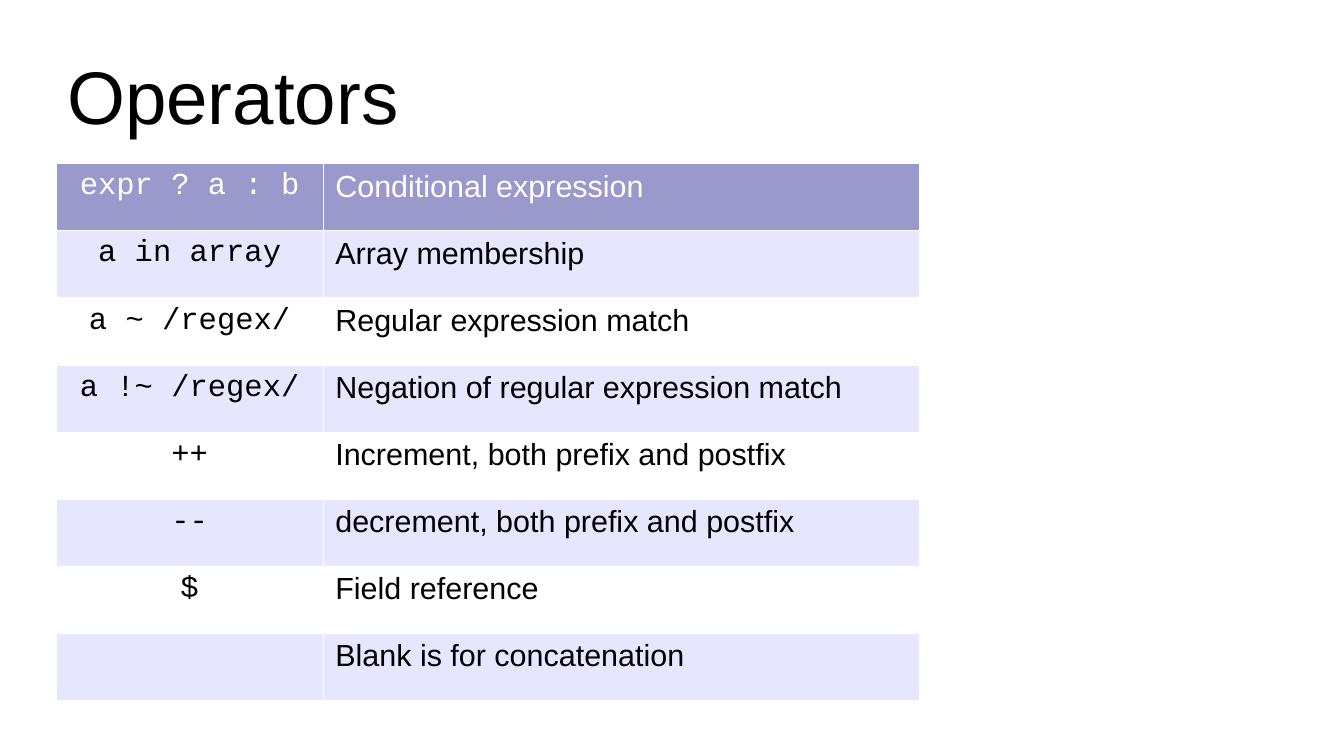
from dataclasses import dataclass

import lxml.etree
import pptx
import pptx.dml.color
import pptx.enum.text
import pptx.oxml.ns
import pptx.slide
import pptx.table
import pptx.text.text
import pptx.util

RGBColor = pptx.dml.color.RGBColor
Align = pptx.enum.text.PP_ALIGN
BLACK = RGBColor(0x00, 0x00, 0x00)
WHITE = RGBColor(0xFF, 0xFF, 0xFF)
HEADER_PURPLE = RGBColor(0x99, 0x99, 0xCC)
BAND_LAVENDER = RGBColor(0xE6, 0xE6, 0xFF)

SLIDE_WIDTH = pptx.util.Inches(11.02)
SLIDE_HEIGHT = pptx.util.Inches(6.2)
BORDER_WIDTH = pptx.util.Pt(0.06)
ROW_HEIGHT = pptx.util.Inches(0.55)
COLUMN_WIDTHS = (pptx.util.Inches(2.19), pptx.util.Inches(4.89))
TABLE_LEFT = pptx.util.Inches(0.46)
TABLE_TOP = pptx.util.Inches(1.34)


@dataclass(frozen=True)
class Operator:
    symbol: str
    meaning: str


@dataclass(frozen=True)
class TextStyle:
    font: str
    size: float
    color: RGBColor
    alignment: Align = Align.LEFT


OPERATORS = (
    Operator("expr ? a : b", "Conditional expression"),
    Operator("a in array", "Array membership"),
    Operator("a ~ /regex/", "Regular expression match"),
    Operator("a !~ /regex/", "Negation of regular expression match"),
    Operator("++", "Increment, both prefix and postfix"),
    Operator("--", "decrement, both prefix and postfix"),
    Operator("$", "Field reference"),
    Operator("", "Blank is for concatenation"),
)


def write_text(frame: pptx.text.text.TextFrame, text: str, style: TextStyle) -> None:
    para = frame.paragraphs[0]
    para.alignment = style.alignment
    span = para.add_run()
    span.text = text
    formats = {"name": style.font, "size": pptx.util.Pt(style.size), "bold": False}
    for name, value in formats.items():
        setattr(span.font, name, value)
    span.font.color.rgb = style.color


def add_title(page: pptx.slide.Slide, text: str) -> None:
    box = page.shapes.add_textbox(
        int(SLIDE_WIDTH * 0.05),
        int(SLIDE_HEIGHT * 0.04),
        int(SLIDE_WIDTH * 0.9),
        int(SLIDE_HEIGHT * 0.17),
    )
    frame = box.text_frame
    formats = {
        "word_wrap": True,
        "vertical_anchor": pptx.enum.text.MSO_ANCHOR.MIDDLE,
        "margin_left": 0,
        "margin_top": 0,
        "margin_right": 0,
        "margin_bottom": 0,
    }
    for name, value in formats.items():
        setattr(frame, name, value)
    write_text(frame, text, TextStyle("Arial", 44, BLACK))


def add_borders(cell: pptx.table._Cell) -> None:
    qn = pptx.oxml.ns.qn
    properties = cell._tc.get_or_add_tcPr()
    for side in ("lnL", "lnR", "lnT", "lnB"):
        line = lxml.etree.SubElement(properties, qn(f"a:{side}"), w=str(BORDER_WIDTH))
        fill = lxml.etree.SubElement(line, qn("a:solidFill"))
        lxml.etree.SubElement(fill, qn("a:srgbClr"), val=str(WHITE))


def row_colors(row: int) -> tuple[RGBColor, RGBColor]:
    if row == 0:
        return HEADER_PURPLE, WHITE
    return (BAND_LAVENDER if row % 2 else WHITE), BLACK


def add_operator_table(page: pptx.slide.Slide, operators: tuple[Operator, ...]) -> None:
    table = page.shapes.add_table(
        len(operators),
        len(COLUMN_WIDTHS),
        TABLE_LEFT,
        TABLE_TOP,
        sum(COLUMN_WIDTHS),
        ROW_HEIGHT * len(operators),
    ).table
    table.first_row = False
    table.horz_banding = False
    for column, width in zip(table.columns, COLUMN_WIDTHS):
        column.width = width
    for row, operator in enumerate(operators):
        background, foreground = row_colors(row)
        entries = (
            (operator.symbol, TextStyle("Courier New", 18, foreground, Align.CENTER)),
            (operator.meaning, TextStyle("Arial", 18, foreground)),
        )
        for column, (text, style) in enumerate(entries):
            cell = table.cell(row, column)
            add_borders(cell)
            cell.fill.solid()
            cell.fill.fore_color.rgb = background
            if text:
                write_text(cell.text_frame, text, style)


def main() -> None:
    deck = pptx.Presentation()
    deck.slide_width = SLIDE_WIDTH
    deck.slide_height = SLIDE_HEIGHT
    page = deck.slides.add_slide(deck.slide_layouts[6])
    add_title(page, "Operators")
    add_operator_table(page, OPERATORS)
    deck.save("out.pptx")


if __name__ == "__main__":
    main()
